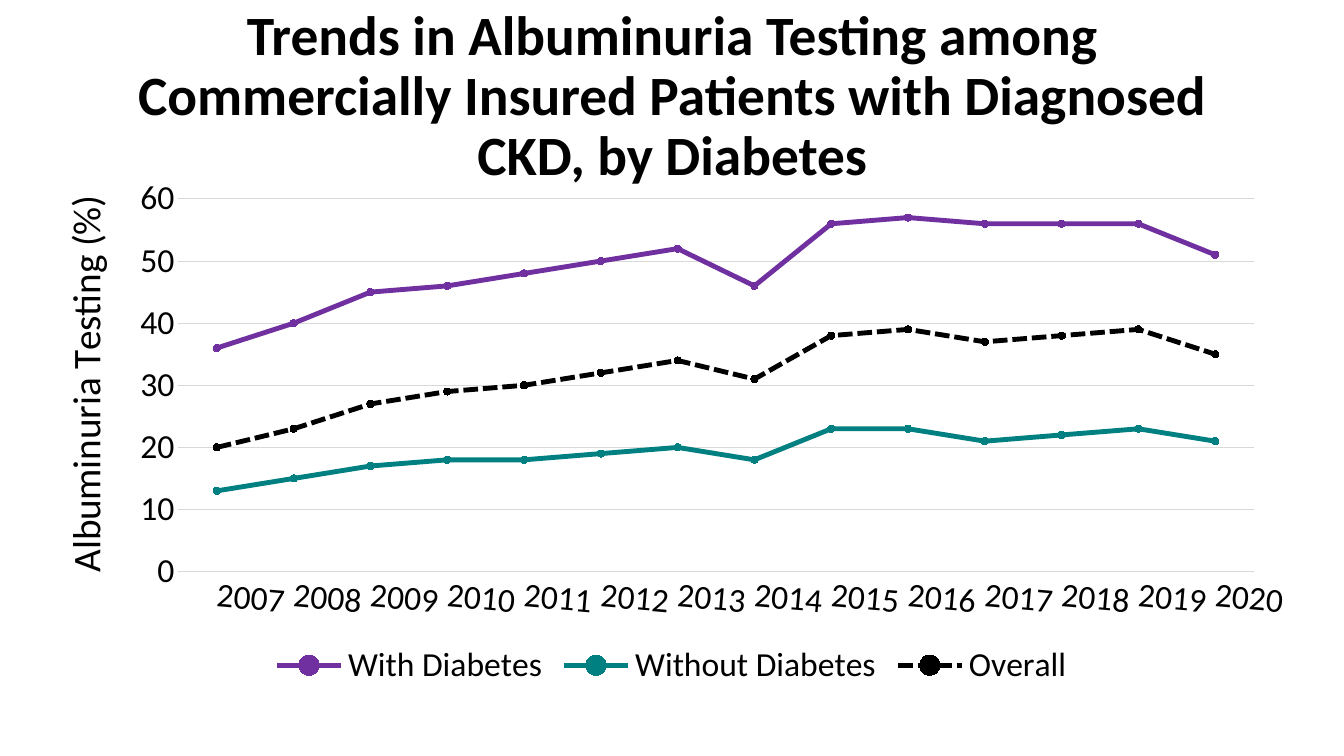
from pptx import Presentation
from pptx.chart.data import CategoryChartData as Data
from pptx.dml.color import RGBColor
from pptx.enum.chart import XL_CHART_TYPE as Kind
from pptx.enum.chart import XL_LEGEND_POSITION as Place
from pptx.enum.chart import XL_MARKER_STYLE as Mark
from pptx.enum.chart import XL_TICK_MARK as Tick
from pptx.enum.dml import MSO_LINE as Dash
from pptx.enum.text import MSO_ANCHOR as Anchor
from pptx.enum.text import MSO_AUTO_SIZE as Fit
from pptx.enum.text import PP_ALIGN as Align
from pptx.oxml import parse_xml
from pptx.oxml.ns import nsdecls, qn
from pptx.util import Cm, Pt

BLACK = RGBColor(0x00, 0x00, 0x00)
GREY = RGBColor(0xD9, 0xD9, 0xD9)
PURPLE = RGBColor(0x70, 0x30, 0xA0)
TEAL = RGBColor(0x00, 0x80, 0x80)

YEARS = [str(year) for year in range(2007, 2021)]
TRENDS = [
    ("With Diabetes", PURPLE, Dash.SOLID,
     [36, 40, 45, 46, 48, 50, 52, 46, 56, 57, 56, 56, 56, 51]),
    ("Without Diabetes", TEAL, Dash.SOLID,
     [13, 15, 17, 18, 18, 19, 20, 18, 23, 23, 21, 22, 23, 21]),
    ("Overall", BLACK, Dash.SQUARE_DOT,
     [20, 23, 27, 29, 30, 32, 34, 31, 38, 39, 37, 38, 39, 35]),
]


class Deck:
    face = "Calibri"

    def __init__(self):
        self.show = Presentation()
        self.show.slide_width = Cm(33.87)
        self.show.slide_height = Cm(19.05)
        self.slide = self.show.slides.add_slide(self.show.slide_layouts[5])

    def style(self, font, size, bold=False):
        font.name = self.face
        font.size = Pt(size)
        font.bold = bold
        font.color.rgb = BLACK

    def title(self, text, left, top, width, height):
        shape = self.slide.shapes.title
        shape.left, shape.top = Cm(left), Cm(top)
        shape.width, shape.height = Cm(width), Cm(height)
        frame = shape.text_frame
        frame.text = text
        frame.word_wrap = True
        frame.auto_size = Fit.NONE
        frame.vertical_anchor = Anchor.MIDDLE
        para = frame.paragraphs[0]
        para.alignment = Align.CENTER
        para.line_spacing = 0.9
        self.style(para.runs[0].font, 39.6, True)

    def layout(self, node, index, inner=False, **spots):
        for old in node.findall(qn("c:layout")):
            node.remove(old)
        target = '<c:layoutTarget val="inner"/>' if inner else ""
        modes = '<c:xMode val="edge"/><c:yMode val="edge"/>'
        sizes = "".join(f'<c:{key} val="{val}"/>' for key, val in spots.items())
        node.insert(index, parse_xml(
            f'<c:layout {nsdecls("c")}><c:manualLayout>{target}{modes}{sizes}'
            '</c:manualLayout></c:layout>'))

    def turn(self, node, angle):
        body = next(node.iter(qn("a:bodyPr")))
        body.set("rot", str(angle * 60000))
        body.set("vert", "horz")

    def axis(self, axis):
        axis.major_tick_mark = axis.minor_tick_mark = Tick.NONE
        self.style(axis.tick_labels.font, 24)

    def chart(self, label, left, top, width, height):
        data = Data()
        data.categories = YEARS
        for name, _, _, vals in TRENDS:
            data.add_series(name, vals)
        chart = self.slide.shapes.add_chart(
            Kind.LINE_MARKERS, Cm(left), Cm(top), Cm(width), Cm(height), data).chart
        chart.has_title = False
        self.style(chart.font, 10)
        chart.plots[0].vary_by_categories = False
        chart.has_legend = True
        chart.legend.position = Place.BOTTOM
        chart.legend.include_in_layout = False
        self.style(chart.legend.font, 24)

        years, share = chart.category_axis, chart.value_axis
        self.axis(years)
        self.axis(share)
        self.turn(years.tick_labels._element.find(qn("c:txPr")), 5)
        years.format.line.color.rgb = GREY
        years.format.line.width = Pt(0.75)
        share.minimum_scale, share.maximum_scale, share.major_unit = 0, 60, 10
        share.tick_labels.number_format = "0"
        share.tick_labels.number_format_is_linked = False
        share.format.line.fill.background()
        share.has_major_gridlines = True
        grid = share.major_gridlines.format.line
        grid.color.rgb = GREY
        grid.width = Pt(0.75)

        head = share.axis_title
        head.text_frame.text = label
        self.style(head.text_frame.paragraphs[0].runs[0].font, 28)
        self.turn(head._element, -90)
        self.layout(head._element, 1, x=0.01, y=0.04)
        area = chart._chartSpace.chart.plotArea
        self.layout(area, 0, True, x=0.11, y=0.06, w=0.85, h=0.71)

        for line, (_, color, dash, _) in zip(chart.plots[0].series, TRENDS):
            line.smooth = False
            line.format.line.color.rgb = color
            line.format.line.width = Pt(3.5)
            line.format.line.dash_style = dash
            line.marker.style = Mark.CIRCLE
            line.marker.size = 5
            line.marker.format.fill.solid()
            line.marker.format.fill.fore_color.rgb = color
            line.marker.format.line.color.rgb = color


def main():
    deck = Deck()
    deck.title("Trends in Albuminuria Testing among Commercially Insured "
               "Patients with Diagnosed CKD, by Diabetes", 2.34, 0.61, 29.21, 3.68)
    deck.chart("Albuminuria Testing (%)", 0.99, 4.22, 31.88, 13.23)
    deck.show.save("out.pptx")


if __name__ == "__main__":
    main()
